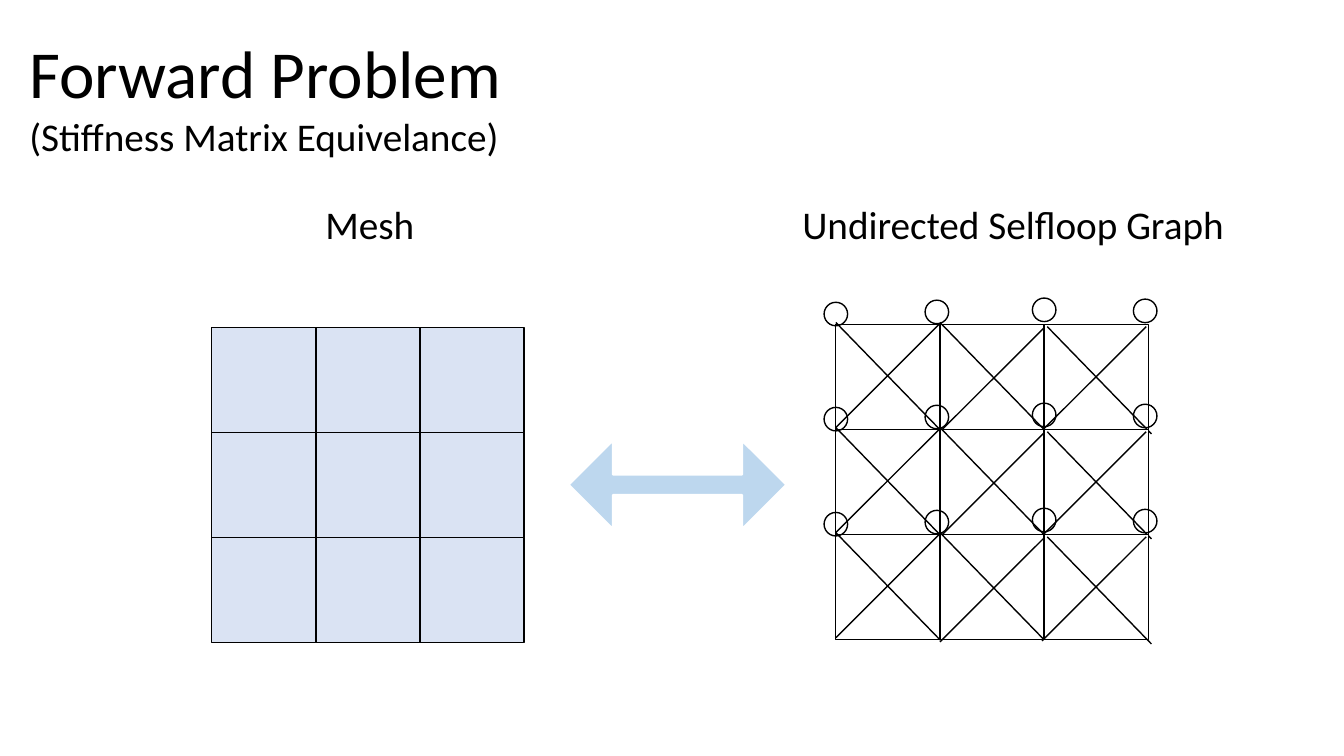
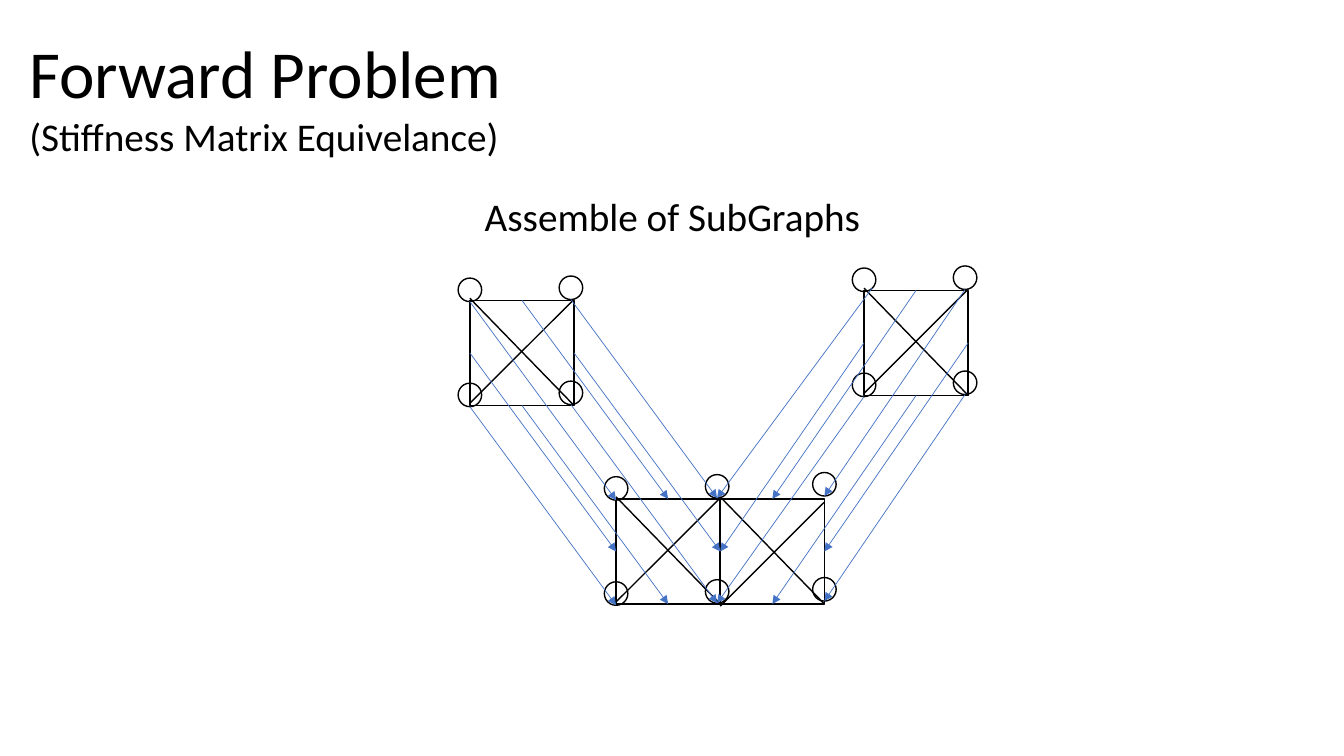
import dataclasses

import lxml.etree
import pptx
import pptx.dml.color
import pptx.enum.shapes
import pptx.enum.text
import pptx.oxml.ns
import pptx.util

SLIDE_WIDTH = pptx.util.Inches(13.33)
SLIDE_HEIGHT = pptx.util.Inches(7.5)
FONT = "Calibri"
BLACK, WHITE = "000000", "FFFFFF"
MESH_BLUE, ARROW_BLUE, MAPPING_BLUE = "DAE3F3", "BDD7EE", "4472C4"
HEADING_SIZE, TEXT_SIZE = 48, 28

FALLING_STARTS = [(0, -0.02), (0, -0.02), (0.03, 0.02)]
RISING_STARTS = [(0, 0.98), (0, 1.02), (-0.02, 1.01)]
LOOP_CENTRES = [(0, -0.1), (-0.03, -0.12), (0, -0.14), (-0.03, -0.13)]
FALLING_SPAN, RISING_SPAN = (1, 1.02), (1, -0.99)
CORNERS = [(0, 0), (1, 0), (0, 1), (1, 1)]
BOTTOM, LOWER_RIGHT = (0.5, 1), (0.85, 0.85)


def across(percent):
    """Return a percentage of the slide's width as a length."""
    return round(SLIDE_WIDTH * percent / 100)


def down(percent):
    """Return a percentage of the slide's height as a length."""
    return round(SLIDE_HEIGHT * percent / 100)


CELL_WIDTH, CELL_HEIGHT = across(7.75), down(13.9)
LOOP_DIAMETER = across(1.75)


@dataclasses.dataclass
class Grid:
    """Equal cells counted from a top left corner in slide percentages."""

    left: float
    top: float
    columns: int
    rows: int

    def point(self, column, row):
        """Return the place of a column and row, which may be fractions."""
        return (across(self.left) + round(column * CELL_WIDTH),
                down(self.top) + round(row * CELL_HEIGHT))


def color(code):
    """Turn a hex string into a colour."""
    return pptx.dml.color.RGBColor.from_string(code)


def add_figure(slide, kind, box, fill=None, line=BLACK, weight=1):
    """Add a preset shape without shadow."""
    figure = slide.shapes.add_shape(kind, *box)
    figure.shadow.inherit = False
    if fill:
        figure.fill.solid()
        figure.fill.fore_color.rgb = color(fill)
    else:
        figure.fill.background()
    figure.line.color.rgb = color(line)
    figure.line.width = pptx.util.Pt(weight)
    return figure


def add_line(slide, start, end, line=BLACK, weight=1, arrow=False):
    """Add a straight connector, with an arrowhead at its end if asked."""
    edge = slide.shapes.add_connector(
        pptx.enum.shapes.MSO_CONNECTOR.STRAIGHT, *start, *end)
    edge.line.color.rgb = color(line)
    edge.line.width = pptx.util.Pt(weight)
    qn = pptx.oxml.ns.qn
    properties = edge.element.spPr
    lxml.etree.SubElement(properties, qn("a:effectLst"))
    if arrow:
        head = lxml.etree.SubElement(properties.find(qn("a:ln")), qn("a:tailEnd"))
        head.set("type", "triangle")
    return edge


def write_runs(frame, runs):
    """Write left-aligned runs of text, each with its own size."""
    frame.word_wrap = True
    frame.auto_size = pptx.enum.text.MSO_AUTO_SIZE.NONE
    frame.vertical_anchor = pptx.enum.text.MSO_ANCHOR.TOP
    paragraph = frame.paragraphs[0]
    paragraph.alignment = pptx.enum.text.PP_ALIGN.LEFT
    for words, size in runs:
        run = paragraph.add_run()
        run.text = words
        run.font.name = FONT
        run.font.size = pptx.util.Pt(size)
        run.font.color.rgb = color(BLACK)


def add_label(slide, words, left, top, width):
    """Add a one-line caption placed in slide percentages."""
    caption = slide.shapes.add_textbox(
        across(left), down(top), across(width), down(7.6))
    write_runs(caption.text_frame, [(words, TEXT_SIZE)])


def add_titled_slide(deck):
    """Add a slide with the shared title."""
    slide = deck.slides.add_slide(deck.slide_layouts[5])
    heading = slide.shapes.title
    heading.left, heading.top = across(1.43), down(3.47)
    heading.width, heading.height = across(42.69), down(18.4)
    write_runs(heading.text_frame, [
        ("Forward Problem ", HEADING_SIZE),
        ("(Stiffness Matrix Equivelance)", TEXT_SIZE)])
    return slide


def add_cells(slide, grid, row, fill):
    """Draw one row of cells and return them."""
    rectangle = pptx.enum.shapes.MSO_SHAPE.RECTANGLE
    return [add_figure(slide, rectangle,
                       (*grid.point(column, row), CELL_WIDTH, CELL_HEIGHT), fill)
            for column in range(grid.columns)]


def add_diagonals(slide, grid, row):
    """Cross every cell of a row with two edges."""
    for column in range(grid.columns):
        for starts, span in ((FALLING_STARTS, FALLING_SPAN),
                             (RISING_STARTS, RISING_SPAN)):
            x, y = column + starts[column][0], row + starts[column][1]
            add_line(slide, grid.point(x, y), grid.point(x + span[0], y + span[1]))


def add_loops(slide, grid, row):
    """Draw a self loop at every vertex of a row and return them."""
    loops = []
    for column in range(grid.columns + 1):
        dx, dy = LOOP_CENTRES[column]
        x, y = grid.point(column + dx, row + dy)
        box = (x - LOOP_DIAMETER // 2, y - LOOP_DIAMETER // 2,
               LOOP_DIAMETER, LOOP_DIAMETER)
        loops.append(add_figure(slide, pptx.enum.shapes.MSO_SHAPE.OVAL, box))
    return loops


def add_graph(slide, grid, loop_rows):
    """Draw a self-loop graph and return its rows of cells and of loops."""
    cells, loops = [], []
    for row in range(max(grid.rows, loop_rows)):
        if row < grid.rows:
            cells.append(add_cells(slide, grid, row, WHITE))
            add_diagonals(slide, grid, row)
        if row < loop_rows:
            loops.append(add_loops(slide, grid, row))
    return cells, loops


def spot(loop, share):
    """Return the point at a share of a loop's width and height."""
    return (round(loop.left + loop.width * share[0]),
            round(loop.top + loop.height * share[1]))


def add_mapping(slide, subgraph, assembly, column, first_exit=BOTTOM):
    """Map a subgraph's edges and vertices to a column of the assembly."""
    (sub_cells, sub_loops), (cells, loops) = subgraph, assembly
    for side in range(4):
        arrow = add_line(slide, (0, 0), (0, 0), MAPPING_BLUE, 0.5, True)
        arrow.begin_connect(sub_cells[0][0], side)
        arrow.end_connect(cells[0][column], side)
    for x, y in CORNERS:
        leaving = BOTTOM if x or y else first_exit
        add_line(slide, spot(sub_loops[y][x], leaving),
                 spot(loops[y][column + x], BOTTOM), MAPPING_BLUE, 0.5, True)


def build_equivalence(deck):
    """Show the mesh beside its graph."""
    slide = add_titled_slide(deck)
    mesh = Grid(15.75, 43.33, 3, 3)
    for row in range(mesh.rows):
        add_cells(slide, mesh, row, MESH_BLUE)
    add_graph(slide, Grid(62.19, 42.93, 3, 3), loop_rows=3)
    add_label(slide, "Mesh", 23.48, 25.87, 8.93)
    add_label(slide, "Undirected Selfloop Graph", 58.96, 25.87, 34.28)
    equivalence = add_figure(
        slide, pptx.enum.shapes.MSO_SHAPE.LEFT_RIGHT_ARROW,
        (across(42.31), down(58.27), across(16.2), down(11.73)),
        ARROW_BLUE, WHITE, 1.5)
    equivalence.adjustments[0] = 0.23
    equivalence.adjustments[1] = 0.5


def build_assembly(deck):
    """Show two subgraphs joining into one graph."""
    slide = add_titled_slide(deck)
    assembly = add_graph(slide, Grid(45.84, 66, 2, 1), loop_rows=2)
    add_label(slide, "Assemble of SubGraphs", 35.33, 24.8, 31.36)
    left_part = add_graph(slide, Grid(34.96, 39.73, 1, 1), loop_rows=2)
    right_part = add_graph(slide, Grid(64.29, 38.4, 1, 1), loop_rows=2)
    add_mapping(slide, left_part, assembly, 0)
    add_mapping(slide, right_part, assembly, 1, LOWER_RIGHT)


def main():
    """Build and save the deck."""
    deck = pptx.Presentation()
    deck.slide_width, deck.slide_height = SLIDE_WIDTH, SLIDE_HEIGHT
    build_equivalence(deck)
    build_assembly(deck)
    deck.save("out.pptx")


if __name__ == "__main__":
    main()
